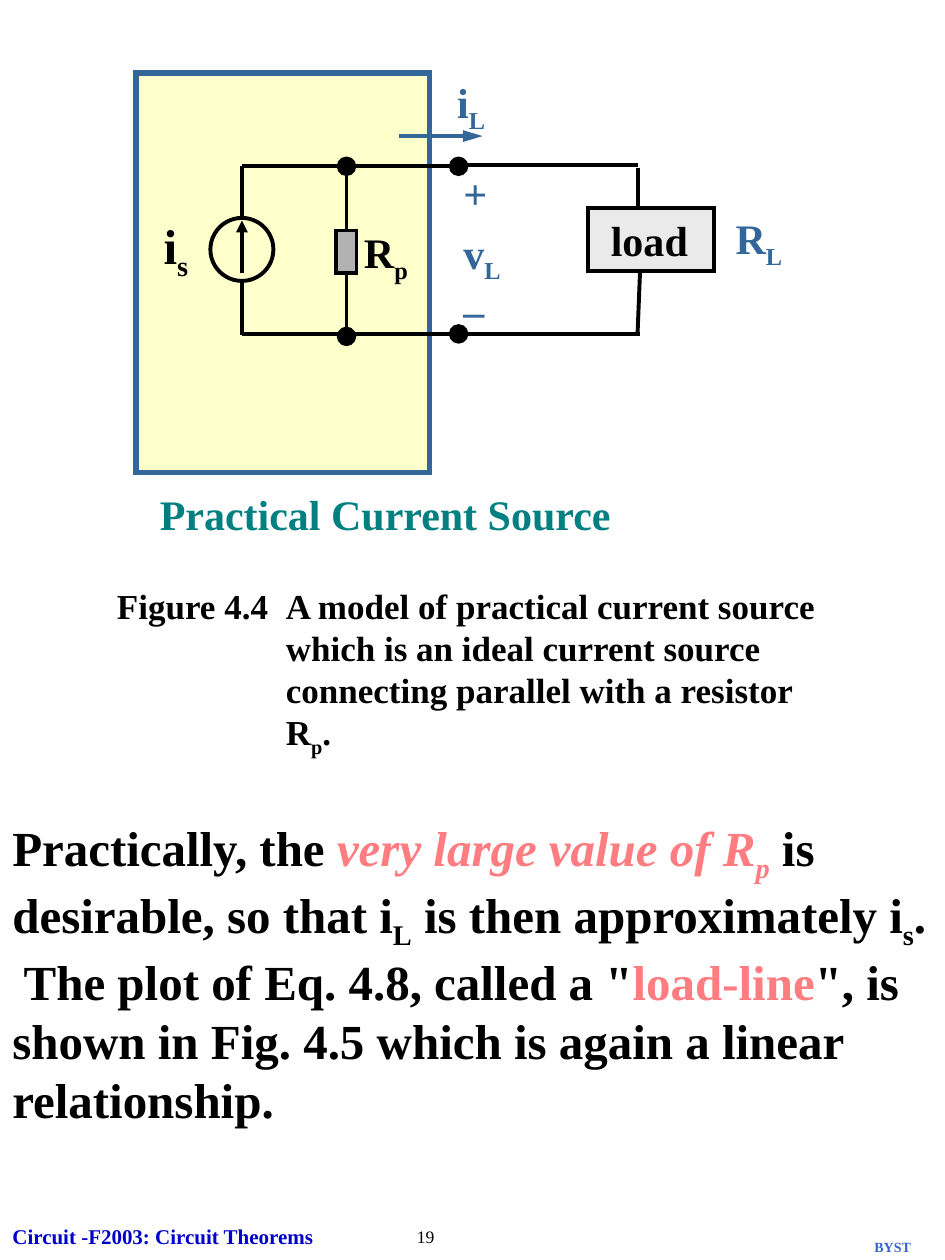
import pptx
import pptx.util
import pptx.dml.color
import pptx.enum.shapes
import pptx.enum.text
import pptx.oxml
import pptx.oxml.ns

RGBColor = pptx.dml.color.RGBColor
BLACK = RGBColor(0x00, 0x00, 0x00)
STEEL = RGBColor(0x33, 0x66, 0x99)
CREAM = RGBColor(0xFF, 0xFF, 0xCC)
GREY = RGBColor(0xB2, 0xB2, 0xB2)
PALE_GREY = RGBColor(0xEA, 0xEA, 0xEA)
TEAL = RGBColor(0x00, 0x80, 0x80)
CORAL = RGBColor(0xFF, 0x7C, 0x80)
NAVY = RGBColor(0x00, 0x00, 0xCC)
BLUE = RGBColor(0x33, 0x66, 0xCC)

PX = 9144
SHAPE = pptx.enum.shapes.MSO_SHAPE
STRAIGHT = pptx.enum.shapes.MSO_CONNECTOR.STRAIGHT
FIT = pptx.enum.text.MSO_AUTO_SIZE.SHAPE_TO_FIT_TEXT

DOT = {"type": "oval", "w": "lg", "len": "lg"}
ARROW = {"type": "triangle"}
LONG_ARROW = {"type": "triangle", "len": "lg"}


class Canvas:
    font_name = "Times New Roman"
    line_width = 2.25

    def __init__(self, slide):
        self.slide = slide

    def shape(self, kind, box, fill=None, color=BLACK, width=line_width):
        shape = self.slide.shapes.add_shape(kind, *(value * PX for value in box))
        shape.shadow.inherit = False
        if fill is None:
            shape.fill.background()
        else:
            shape.fill.solid()
            shape.fill.fore_color.rgb = fill
        self.outline(shape, color, width).append(self.element("miter", lim="800000"))
        return shape

    def wire(self, start, end, tail=None, color=BLACK):
        points = (value * PX for value in (*start, *end))
        connector = self.slide.shapes.add_connector(STRAIGHT, *points)
        line = self.outline(connector, color, self.line_width)
        if tail:
            line.append(self.element("tailEnd", **tail))
        connector._element.spPr.append(self.element("effectLst"))
        return connector

    def outline(self, shape, color, width):
        shape.line.color.rgb = color
        shape.line.width = pptx.util.Pt(width)
        return shape._element.spPr.find(pptx.oxml.ns.qn("a:ln"))

    def element(self, tag, **attributes):
        namespace = pptx.oxml.ns.nsdecls("a")
        element = pptx.oxml.parse_xml(f"<a:{tag} {namespace}/>")
        for name, value in attributes.items():
            element.set(name, value)
        return element

    def text(self, box, paragraphs, size, color=BLACK, bold=True, wrap=True,
             line_spacing=None, before=0, after=0):
        textbox = self.slide.shapes.add_textbox(*(value * PX for value in box))
        frame = textbox.text_frame
        frame.word_wrap = wrap
        frame.auto_size = FIT
        for index, runs in enumerate(paragraphs):
            paragraph = frame.add_paragraph() if index else frame.paragraphs[0]
            paragraph.line_spacing = line_spacing
            if index and before:
                paragraph.space_before = pptx.util.Pt(before)
            if after:
                paragraph.space_after = pptx.util.Pt(after)
            font = paragraph.font
            font.name = self.font_name
            font.size = pptx.util.Pt(size)
            font.bold = bold
            font.color.rgb = color
            for run in runs:
                self.run(paragraph, *run)

    def run(self, paragraph, text, subscript=False, color=None, italic=False):
        run = paragraph.add_run()
        run.text = text
        if subscript:
            run.font._element.set("baseline", "-25000")
        if color is not None:
            run.font.color.rgb = color
        if italic:
            run.font.italic = True


def symbol(letter, index):
    return [(letter,), (index, True)]


def draw_circuit(canvas):
    canvas.text((353, 56, 58, 56), [symbol("i", "L")], 24, STEEL)
    canvas.shape(SHAPE.RECTANGLE, (108, 58, 233, 317), CREAM, STEEL, 3)
    resistor = canvas.shape(SHAPE.RECTANGLE, (267, 183, 16, 34), GREY)
    canvas.wire((192, 132), (275, 132), DOT)
    for start, end in (
        ((192, 173), (192, 132)),
        ((367, 131), (506, 131)),
        ((506, 133), (506, 166)),
        ((508, 215), (506, 265)),
        ((192, 266), (192, 224)),
        ((367, 265), (508, 265)),
    ):
        canvas.wire(start, end)
    canvas.shape(SHAPE.OVAL, (167, 173, 50, 50))
    canvas.text((358, 142, 53, 127), [[("+",)], symbol("v", "L"), [("–",)]],
                24, STEEL, line_spacing=0.6, before=15)
    canvas.text((120, 166, 55, 63), [symbol("i", "s")], 28)
    canvas.wire((317, 108), (383, 108), LONG_ARROW, STEEL)
    canvas.shape(SHAPE.RECTANGLE, (467, 165, 100, 50), PALE_GREY)
    canvas.text((475, 165, 117, 50), [[("load",)]], 24)
    canvas.text((279, 175, 65, 56), [symbol("R", "p")], 24)
    canvas.wire((275, 183), (275, 133)).begin_connect(resistor, 0)
    canvas.wire((275, 217), (275, 267), DOT).begin_connect(resistor, 2)
    canvas.wire((192, 217), (192, 175), ARROW)
    canvas.wire((273, 132), (364, 132), DOT)
    canvas.wire((192, 265), (364, 265), DOT)
    canvas.text((574, 164, 65, 56), [symbol("R", "L")], 24, STEEL)


def write_text(canvas):
    canvas.text((117, 383, 392, 50), [[("Practical Current Source",)]], 24, TEAL)
    canvas.text((83, 459, 150, 44), [[("Figure 4.4",)]], 20)
    canvas.text((217, 459, 450, 148), [[
        ("A model of practical current source which is an ideal current source "
         "connecting parallel with a resistor R",),
        ("p", True),
        (".",),
    ]], 20)
    canvas.text((0, 644, 750, 257), [[
        ("Practically, the ",),
        ("very large value of R", False, CORAL, True),
        ("p", True, CORAL, True),
        (" is desirable, so that i",),
        ("L", True),
        (" is then approximately i",),
        ("s", True),
        (".  The plot of Eq. 4.8, called a \"",),
        ("load-line", False, CORAL),
        ("\", is shown in Fig. 4.5 which is again a linear relationship.",),
    ]], 28, after=8.8)


def write_footer(canvas):
    canvas.text((684, 978, 49, 24), [[("BYST",)]], 8, BLUE, wrap=False)
    canvas.text((0, 966, 342, 30), [[("Circuit -F2003: Circuit Theorems",)]], 12, NAVY)
    canvas.text((321, 968, 78, 27), [[("19",)]], 10, bold=False)


def main():
    presentation = pptx.Presentation()
    presentation.slide_width = 750 * PX
    presentation.slide_height = 1000 * PX
    canvas = Canvas(presentation.slides.add_slide(presentation.slide_layouts[6]))
    write_footer(canvas)
    draw_circuit(canvas)
    write_text(canvas)
    presentation.save("out.pptx")


if __name__ == "__main__":
    main()
